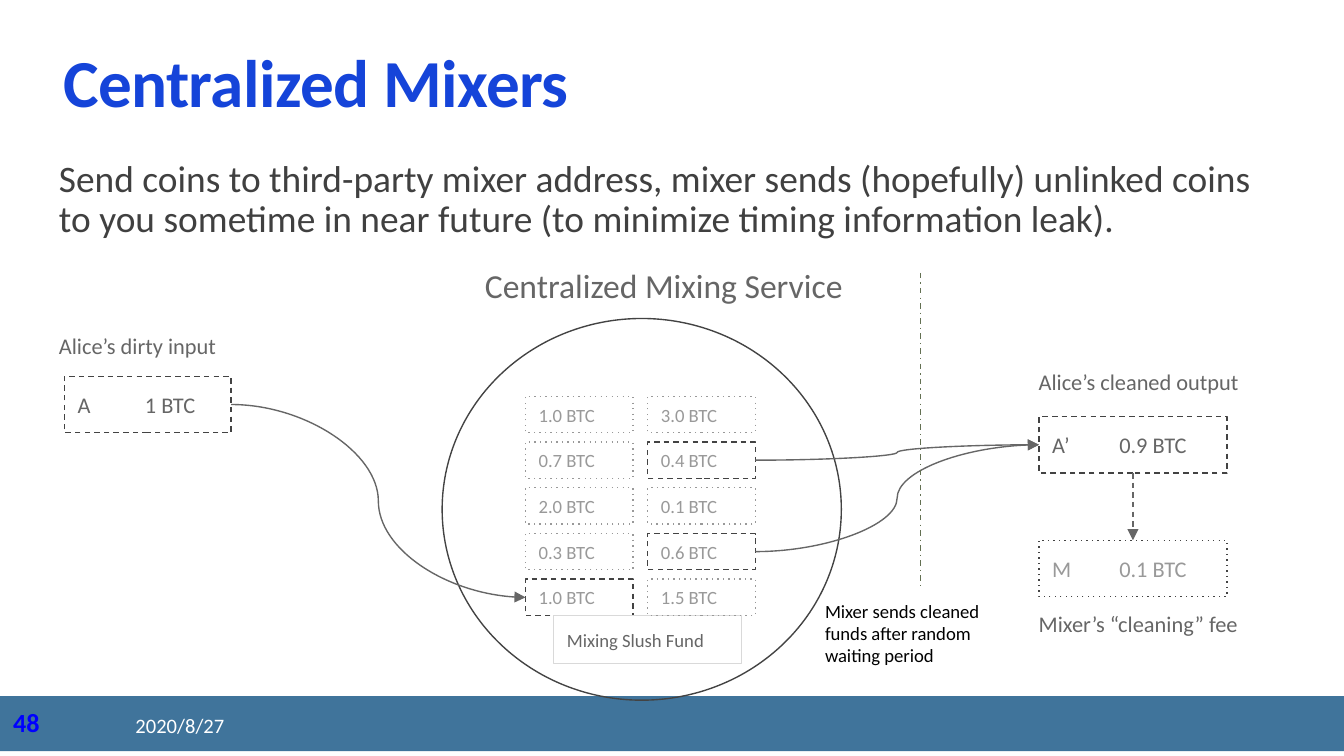
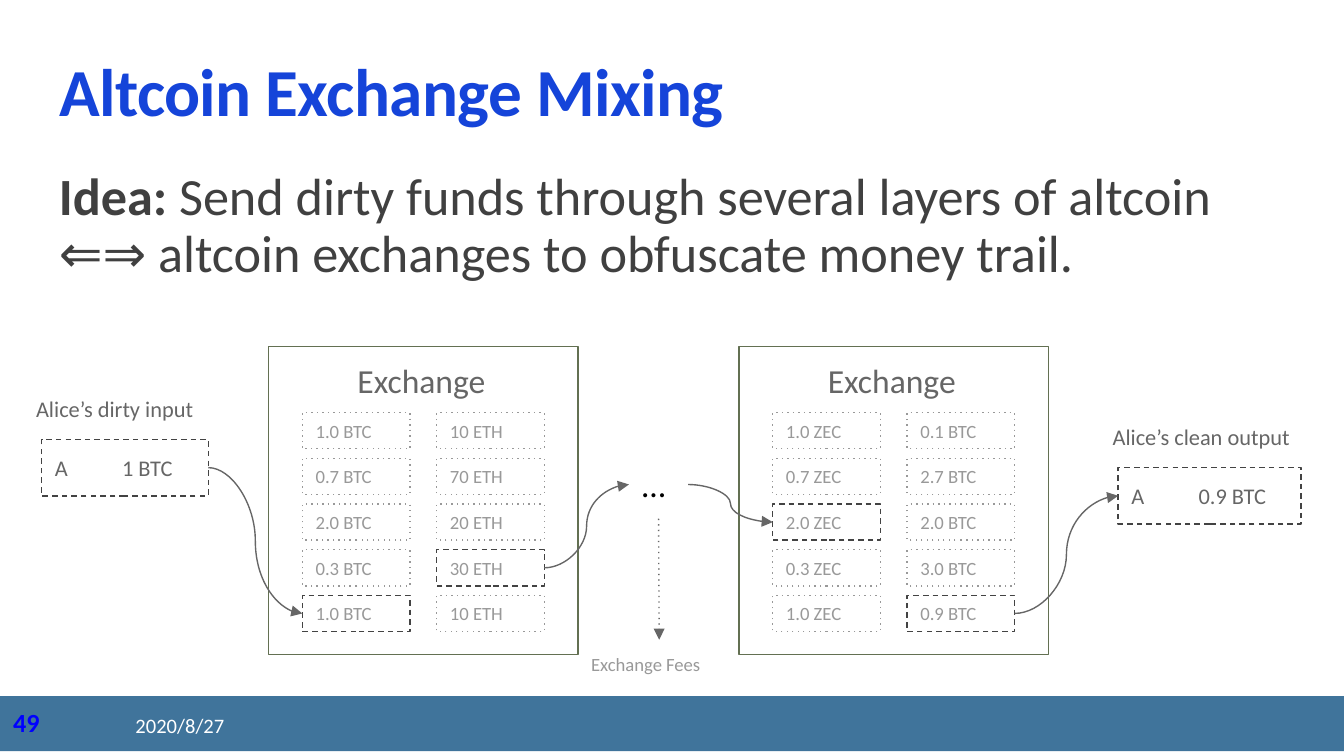
from lxml import etree
from pptx import Presentation
from pptx.dml.color import RGBColor
from pptx.enum.shapes import MSO_CONNECTOR, MSO_SHAPE
from pptx.enum.text import MSO_ANCHOR, MSO_AUTO_SIZE, PP_ALIGN
from pptx.oxml.ns import qn
from pptx.util import Inches, Pt

WHITE = RGBColor(0xFF, 0xFF, 0xFF)
BLACK = RGBColor(0x00, 0x00, 0x00)
BAND_BLUE = RGBColor(0x40, 0x74, 0x9B)
NUMBER_BLUE = RGBColor(0x00, 0x00, 0xFF)
TITLE_BLUE = RGBColor(0x15, 0x44, 0xD9)
BODY_GRAY = RGBColor(0x40, 0x40, 0x40)
DARK_GRAY = RGBColor(0x43, 0x43, 0x43)
LABEL_GRAY = RGBColor(0x66, 0x66, 0x66)
COIN_GRAY = RGBColor(0x99, 0x99, 0x99)
PALE_GRAY = RGBColor(0xD9, 0xD9, 0xD9)
OLIVE = RGBColor(0x63, 0x70, 0x52)

FONT = "Calibri"
TITLE_ONLY = 5
TOP, MIDDLE, BOTTOM = MSO_ANCHOR.TOP, MSO_ANCHOR.MIDDLE, MSO_ANCHOR.BOTTOM
RECTANGLE, OVAL = MSO_SHAPE.RECTANGLE, MSO_SHAPE.OVAL
CURVE, STRAIGHT = MSO_CONNECTOR.CURVE, MSO_CONNECTOR.STRAIGHT
# Connection sites of a rectangle
SITE_TOP, SITE_LEFT, SITE_BOTTOM, SITE_RIGHT = range(4)

SLIDE_WIDTH = Inches(10)
SLIDE_HEIGHT = SLIDE_WIDTH * 9 // 16
COIN_WIDTH, COIN_HEIGHT, COIN_STEP = 0.8, 0.27, 0.34


def write_text(shape, text, *, size, color, bold=False, lead="", anchor=TOP,
               inset_left=0.1, inset=0.1, line_spacing=None, space_after=None,
               letter_spacing=None):
    """Fill the shape with one paragraph; lead is a bold opening."""
    frame = shape.text_frame
    frame.word_wrap = True
    frame.auto_size = MSO_AUTO_SIZE.NONE
    frame.vertical_anchor = anchor
    frame.margin_left = Inches(inset_left)
    frame.margin_right = Inches(0.1)
    frame.margin_top = frame.margin_bottom = Inches(inset)
    paragraph = frame.paragraphs[0]
    if "\t" in text:
        tabs = etree.SubElement(paragraph._p.get_or_add_pPr(), qn("a:tabLst"))
        etree.SubElement(tabs, qn("a:tab"), pos=str(Inches(0.5)), algn="l")
    paragraph.alignment = PP_ALIGN.LEFT
    if line_spacing:
        paragraph.line_spacing = line_spacing
    if space_after:
        paragraph.space_after = Pt(space_after)
    for part, is_bold in ((lead, True), (text, bold)):
        if not part:
            continue
        run = paragraph.add_run()
        run.text = part
        run.font.name = FONT
        run.font.size = Pt(size)
        run.font.bold = is_bold
        run.font.color.rgb = color
        if letter_spacing:
            run._r.get_or_add_rPr().set("spc", str(round(letter_spacing * 100)))


def style_line(shape, color, dash=None, arrow=False):
    shape.line.width = Pt(0.75)
    shape.line.color.rgb = color
    line = shape._element.spPr.find(qn("a:ln"))
    if dash:
        etree.SubElement(line, qn("a:prstDash"), val=dash)
    if arrow:
        etree.SubElement(line, qn("a:tailEnd"), type="triangle")


def add_label(slide, left, top, width, height, text, **text_format):
    box = slide.shapes.add_textbox(Inches(left), Inches(top), Inches(width), Inches(height))
    write_text(box, text, **text_format)
    return box


def add_outline(slide, left, top, width, height, *, kind=RECTANGLE, fill=None,
                line=None, dash=None):
    shape = slide.shapes.add_shape(
        kind, Inches(left), Inches(top), Inches(width), Inches(height))
    shape.shadow.inherit = False
    if fill is None:
        shape.fill.background()
    else:
        shape.fill.solid()
        shape.fill.fore_color.rgb = fill
    if line is None:
        shape.line.fill.background()
    else:
        style_line(shape, line, dash)
    return shape


def add_wallet(slide, left, top, width, text, dash="dash", color=LABEL_GRAY):
    """Add a box with an owner and an amount."""
    wallet = add_outline(slide, left, top, width, 0.42, line=DARK_GRAY, dash=dash)
    write_text(wallet, text, size=12, color=color, anchor=MIDDLE)
    return wallet


def add_coin_column(slide, left, top, amounts, unit, used):
    """Stack coins and outline those whose index is in used; return the coins."""
    coins = []
    for index, amount in enumerate(amounts):
        line, dash = (DARK_GRAY, "dash") if index in used else (COIN_GRAY, "dot")
        coin = add_outline(slide, left, top + index * COIN_STEP, COIN_WIDTH,
                           COIN_HEIGHT, line=line, dash=dash)
        write_text(coin, f"{amount} {unit}", size=10, color=COIN_GRAY, anchor=MIDDLE)
        coins.append(coin)
    return coins


def add_exchange(slide, left, columns):
    """Add an exchange frame with two coin columns; return the columns."""
    frame = add_outline(slide, left, 2.58, 2.3, 2.29, line=OLIVE)
    write_text(frame, "Exchange", size=18, color=LABEL_GRAY, inset_left=0.66)
    return [add_coin_column(slide, left + 0.25 + index, 3.07, *column)
            for index, column in enumerate(columns)]


def style_connector(connector, color, dash=None, arrow=False):
    style_line(connector, color, dash, arrow)
    etree.SubElement(connector._element.spPr, qn("a:effectLst"))


def connect(slide, source, target, *, kind=CURVE, dash=None,
            sites=(SITE_RIGHT, SITE_LEFT)):
    connector = slide.shapes.add_connector(kind, 0, 0, 0, 0)
    connector.begin_connect(source, sites[0])
    connector.end_connect(target, sites[1])
    style_connector(connector, LABEL_GRAY, dash, arrow=True)


def connect_down(slide, source, target, dash):
    connect(slide, source, target, kind=STRAIGHT, dash=dash,
            sites=(SITE_BOTTOM, SITE_TOP))


def add_base_slide(presentation, number, title, title_place):
    """Add a slide with its title, bottom band, number and date."""
    slide = presentation.slides.add_slide(presentation.slide_layouts[TITLE_ONLY])
    heading = slide.shapes.title
    heading.left, heading.top, heading.width, heading.height = map(Inches, title_place)
    write_text(heading, title, size=36, color=TITLE_BLUE, bold=True, anchor=BOTTOM,
               line_spacing=0.85, letter_spacing=-0.3)
    add_outline(slide, 0, 5.18, 10, 0.41, fill=BAND_BLUE)
    add_label(slide, 0, 5.21, 0.69, 0.4, str(number), size=14, color=NUMBER_BLUE,
              bold=True, inset=0.05)
    add_label(slide, 0.91, 5.25, 2.03, 0.3, "2020/8/27", size=11, color=WHITE,
              anchor=MIDDLE, inset=0.05)
    return slide


def add_body(slide, top, height, text, size, lead=""):
    add_label(slide, 0.34, top, 9.32, height, text, size=size, color=BODY_GRAY,
              lead=lead, line_spacing=0.9, space_after=16)


def add_caption(slide, left, top, width, text, size=12, color=LABEL_GRAY):
    return add_label(slide, left, top, width, 0.51, text, size=size, color=color)


def build_centralized_mixers(presentation):
    slide = add_base_slide(presentation, 48, "Centralized Mixers", (0.37, 0.24, 9.32, 0.76))
    add_body(slide, 1.09, 0.77,
             "Send coins to third-party mixer address, mixer sends (hopefully) unlinked "
             "coins to you sometime in near future (to minimize timing information leak).",
             20)
    add_outline(slide, 3.29, 2.37, 2.97, 2.84, kind=OVAL, line=DARK_GRAY)
    add_caption(slide, 3.51, 1.87, 3.04, "Centralized Mixing Service", size=18)

    dirty_input = add_wallet(slide, 0.48, 2.8, 1.24, "A\t1 BTC")
    received = add_coin_column(slide, 3.91, 2.95, ("1.0", "0.7", "2.0", "0.3", "1.0"),
                               "BTC", {4})
    fund = add_outline(slide, 4.12, 4.58, 1.4, 0.36, fill=WHITE, line=PALE_GRAY)
    write_text(fund, "Mixing Slush Fund", size=10, color=LABEL_GRAY)
    paid = add_coin_column(slide, 4.82, 2.95, ("3.0", "0.4", "0.1", "0.6", "1.5"),
                           "BTC", {1, 3})
    clean_output = add_wallet(slide, 7.73, 3.1, 1.4, "A’\t0.9 BTC")
    fee = add_wallet(slide, 7.73, 4.02, 1.4, "M\t0.1 BTC", dash="dot", color=COIN_GRAY)

    connect(slide, dirty_input, received[4])
    connect(slide, paid[1], clean_output)
    connect(slide, paid[3], clean_output)
    connect_down(slide, clean_output, fee, "dash")

    add_caption(slide, 0.34, 2.37, 1.52, "Alice’s dirty input")
    add_caption(slide, 7.63, 2.64, 1.86, "Alice’s cleaned output")
    add_caption(slide, 7.63, 4.44, 1.99, "Mixer’s “cleaning” fee")
    add_caption(slide, 6.04, 4.36, 1.62,
                "Mixer sends cleaned funds after random waiting period", 10, BLACK)
    waiting_line = slide.shapes.add_connector(
        STRAIGHT, Inches(6.85), Inches(2.03), Inches(6.85), Inches(4.36))
    style_connector(waiting_line, OLIVE, "dashDot")


def build_altcoin_exchange(presentation):
    slide = add_base_slide(presentation, 49, "Altcoin Exchange Mixing",
                           (0.34, 0.35, 9.32, 0.72))
    add_body(slide, 1.17, 0.97,
             " Send dirty funds through several layers of altcoin ⇐⇒ altcoin exchanges "
             "to obfuscate money trail.", 28, lead="Idea:")

    bitcoin_in, ether_out = add_exchange(slide, 2, (
        (("1.0", "0.7", "2.0", "0.3", "1.0"), "BTC", {4}),
        (("10", "70", "20", "30", "10"), "ETH", {3}),
    ))
    zcash_in, bitcoin_out = add_exchange(slide, 5.5, (
        (("1.0", "0.7", "2.0", "0.3", "1.0"), "ZEC", {2}),
        (("0.1", "2.7", "2.0", "3.0", "0.9"), "BTC", {4}),
    ))
    dirty_input = add_wallet(slide, 0.31, 3.27, 1.24, "A\t1 BTC")
    clean_output = add_wallet(slide, 8.32, 3.48, 1.36, "A\t0.9 BTC")
    more_layers = add_caption(slide, 4.68, 3.35, 0.44, "…", 18, BLACK)
    fees = add_caption(slide, 4.3, 4.76, 1.21, "Exchange Fees", 10, COIN_GRAY)
    add_caption(slide, 0.17, 2.84, 1.52, "Alice’s dirty input")
    add_caption(slide, 8.18, 3.05, 1.65, "Alice’s clean output")

    connect(slide, dirty_input, bitcoin_in[4])
    connect(slide, ether_out[3], more_layers)
    connect(slide, more_layers, zcash_in[2])
    connect(slide, bitcoin_out[4], clean_output)
    connect_down(slide, more_layers, fees, "dot")


def main():
    presentation = Presentation()
    presentation.slide_width = SLIDE_WIDTH
    presentation.slide_height = SLIDE_HEIGHT
    build_centralized_mixers(presentation)
    build_altcoin_exchange(presentation)
    presentation.save("out.pptx")


if __name__ == "__main__":
    main()
